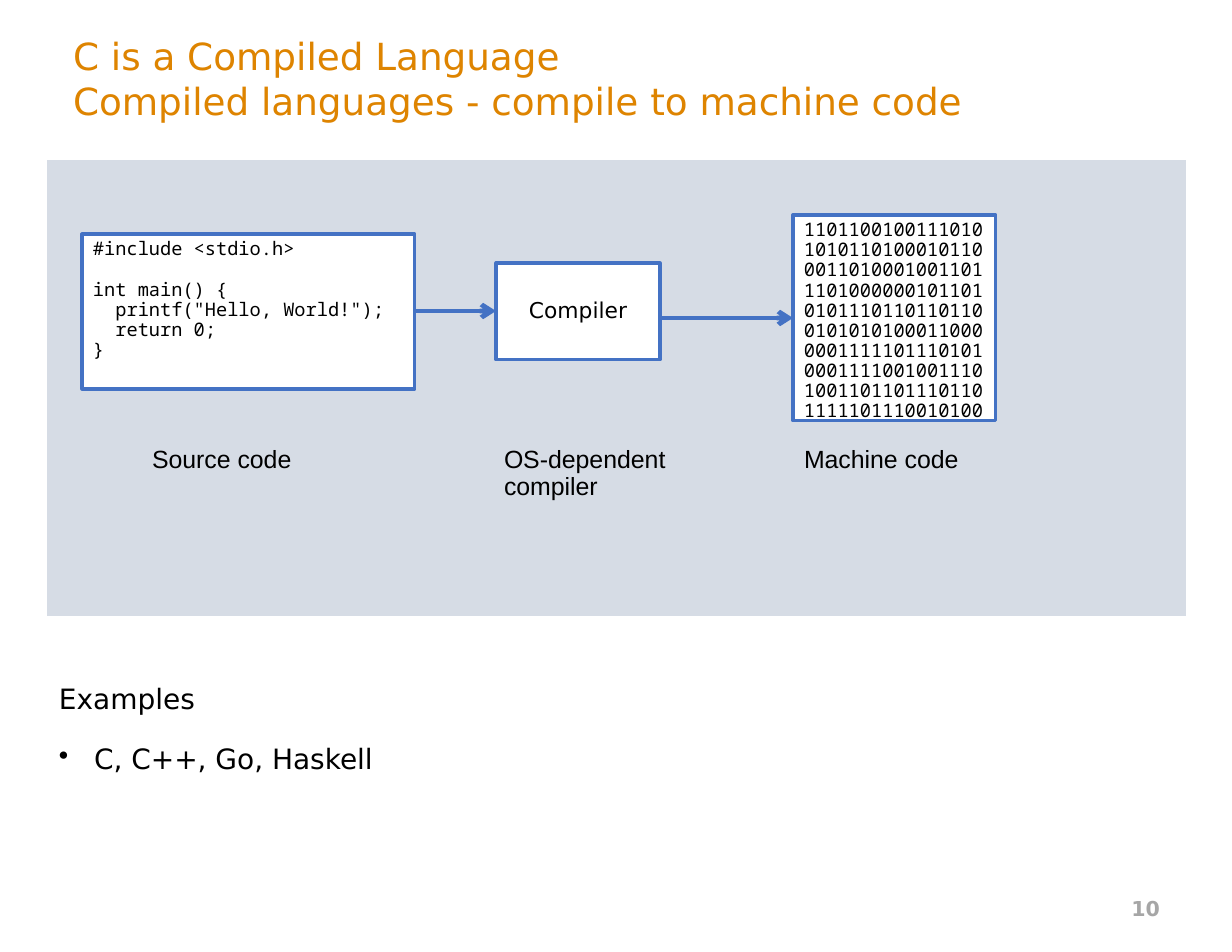
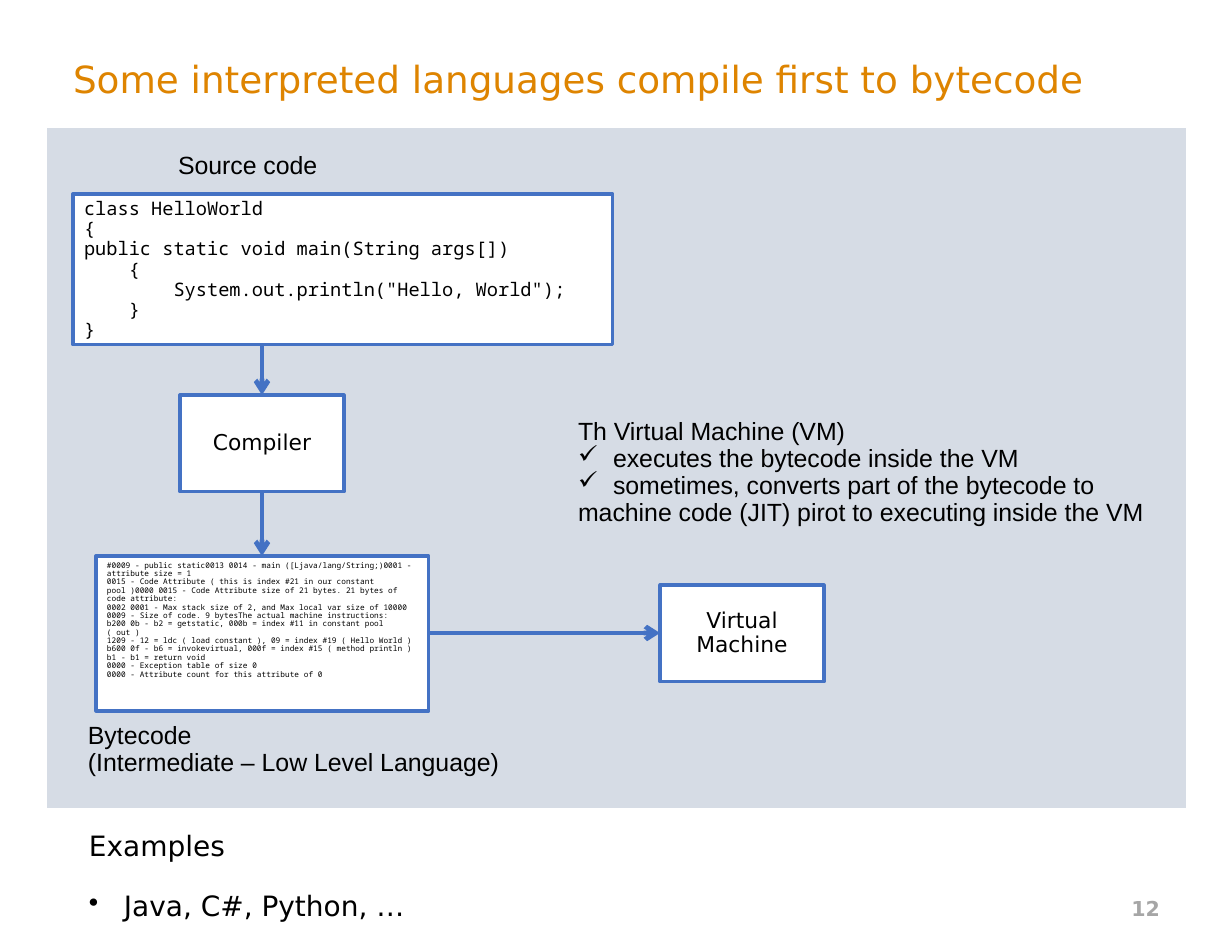
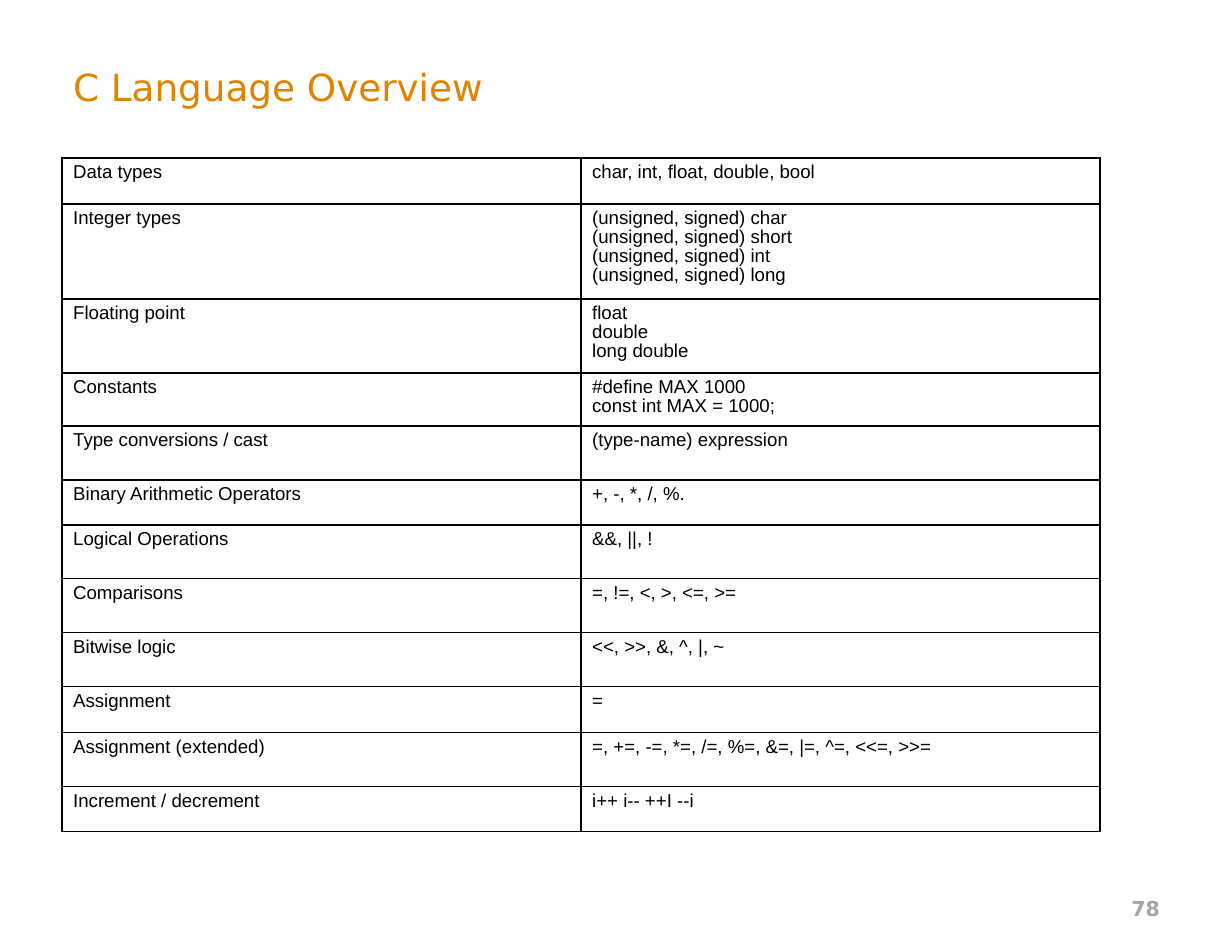
from typing import NamedTuple

from lxml import etree
from pptx import Presentation
from pptx.dml.color import RGBColor
from pptx.enum.shapes import MSO_CONNECTOR, MSO_SHAPE
from pptx.enum.text import MSO_ANCHOR, PP_ALIGN
from pptx.oxml.ns import qn
from pptx.util import Emu, Pt

RECTANGLE = MSO_SHAPE.RECTANGLE
STRAIGHT = MSO_CONNECTOR.STRAIGHT
TOP, MIDDLE = MSO_ANCHOR.TOP, MSO_ANCHOR.MIDDLE
LEFT, CENTER, RIGHT = PP_ALIGN.LEFT, PP_ALIGN.CENTER, PP_ALIGN.RIGHT

COLORS = {
    "title": "DE8400",
    "panel": "D6DCE5",
    "accent": "4472C4",
    "number": "A6A6A6",
    "ink": "000000",
    "paper": "FFFFFF",
}
SANS, BODY, MONO = "DejaVu Sans", "Arial", "Noto Sans Mono"
EMU_PER_PX = 914400 / 112
HANGING_INDENT = 35


class Box(NamedTuple):
    x: int
    y: int
    w: int
    h: int

    def inside(self, dx, dy, w, h):
        return Box(self.x + dx, self.y + dy, w, h)

    @property
    def right(self):
        return self.x + self.w

    @property
    def bottom(self):
        return self.y + self.h

    @property
    def mid_x(self):
        return self.x + self.w // 2

    @property
    def mid_y(self):
        return self.y + self.h // 2


class Style(NamedTuple):
    font: str
    size: float
    color: str = "ink"
    bold: bool = False
    align: int = LEFT
    anchor: int = TOP
    spacing: float = 0.9


class Para(NamedTuple):
    text: str
    bullet: str = ""
    gap: int = 0


TITLE = Style(SANS, 24, "title", anchor=MIDDLE, spacing=1.0)
NUMBER = Style(SANS, 13.2, "number", True, RIGHT, MIDDLE, 1.0)
EXAMPLES = Style(SANS, 18)
LABEL = Style(BODY, 16)
CODE = Style(MONO, 12)
BYTECODE = Style(MONO, 5)
STAGE = Style(SANS, 14, align=CENTER, anchor=MIDDLE)
CELL = Style(BODY, 12)

TITLE_BOX = Box(62, 30, 1109, 97)
NUMBER_BOX = Box(883, 883, 288, 50)

HELLO_C = [
    Para("#include <stdio.h>"),
    Para("int main() {", gap=13),
    Para('  printf("Hello, World!");'),
    Para("  return 0;"),
    Para("}"),
]
MACHINE_CODE = [Para(word) for word in (
    "1101100100111010", "1010110100010110", "0011010001001101",
    "1101000000101101", "0101110110110110", "0101010100011000",
    "0001111101110101", "0001111001001110", "1001101101110110",
    "1111101110010100",
)]
HELLO_JAVA = [Para(line) for line in (
    "class HelloWorld",
    "{",
    "public static void main(String args[])",
    "    {",
    '        System.out.println("Hello, World");',
    "    }",
    "}",
)]
BYTECODE_LISTING = [Para("\v".join((
    "#0009 - public static0013 0014 - main ([Ljava/lang/String;)0001 - attribute size = 1",
    "0015 - Code Attribute ( this is index #21 in our constant pool )0000 0015 - "
    "Code Attribute size of 21 bytes. 21 bytes of code attribute:",
    "0002 0001 - Max stack size of 2, and Max local var size of 10000 0009 - "
    "Size of code. 9 bytesThe actual machine instructions:",
    "b200 0b - b2 = getstatic, 000b = index #11 in constant pool ( out )",
    "1209 - 12 = ldc ( load constant ), 09 = index #19 ( Hello World )",
    "b600 0f - b6 = invokevirtual, 000f = index #15 ( method println )",
    "b1 - b1 = return void",
    "0000 - Exception table of size 0",
    "0000 - Attribute count for this attribute of 0",
)))]
VM_NOTE = [
    Para("Th Virtual Machine (VM)"),
    Para("executes the bytecode inside the VM", "✓"),
    Para("sometimes, converts part of the bytecode to", "✓"),
    Para("machine code (JIT) pirot to executing inside the VM"),
]
OVERVIEW = [
    (46, "Data types", ["char, int, float, double, bool"]),
    (95, "Integer types", [f"(unsigned, signed) {name}" for name in ("char", "short", "int", "long")]),
    (74, "Floating point", ["float", "double", "long double"]),
    (53, "Constants", ["#define MAX 1000", "const int MAX = 1000;"]),
    (54, "Type conversions / cast", ["(type-name) expression"]),
    (45, "Binary Arithmetic Operators", ["+, -, *, /, %."]),
    (54, "Logical Operations", ["&&, ||, !"]),
    (54, "Comparisons", ["=, !=, <, >, <=, >="]),
    (54, "Bitwise logic", ["<<, >>, &, ^, |, ~"]),
    (46, "Assignment", ["="]),
    (54, "Assignment (extended)", ["=, +=, -=, *=, /=, %=, &=, |=, ^=, <<=, >>="]),
    (45, "Increment / decrement", ["i++ i-- ++I --i"]),
]


def px(length):
    return Emu(round(length * EMU_PER_PX))


def place(box):
    return [px(length) for length in box]


def rgb(name):
    return RGBColor.from_string(COLORS[name])


def write(frame, paras, style):
    for index, para in enumerate(paras):
        paragraph = frame.paragraphs[0] if index == 0 else frame.add_paragraph()
        paragraph.text = para.text
        if para.bullet:
            props = paragraph._p.get_or_add_pPr()
            props.set("marL", str(px(HANGING_INDENT)))
            props.set("indent", str(-px(HANGING_INDENT)))
            etree.SubElement(props, qn("a:buChar"), char=para.bullet)
        if para.gap:
            paragraph.space_before = Pt(para.gap)
        paragraph.alignment = style.align
        paragraph.line_spacing = style.spacing
        paragraph.font.name = style.font
        paragraph.font.size = Pt(style.size)
        paragraph.font.bold = style.bold
        paragraph.font.color.rgb = rgb(style.color)


def add_text(slide, box, paras, style, wrap=True):
    frame = slide.shapes.add_textbox(*place(box)).text_frame
    frame.word_wrap = wrap
    frame.vertical_anchor = style.anchor
    write(frame, paras, style)


def add_label(slide, box, *lines):
    add_text(slide, box, [Para(line) for line in lines], LABEL, wrap=False)


def add_rectangle(slide, box, fill):
    rectangle = slide.shapes.add_shape(RECTANGLE, *place(box))
    rectangle.shadow.inherit = False
    rectangle.fill.solid()
    rectangle.fill.fore_color.rgb = rgb(fill)
    rectangle.line.fill.background()
    return rectangle


def add_stage(slide, box, paras, style):
    stage = add_rectangle(slide, box, "paper")
    stage.line.color.rgb = rgb("accent")
    stage.line.width = Pt(2)
    stage.text_frame.word_wrap = True
    stage.text_frame.vertical_anchor = style.anchor
    write(stage.text_frame, paras, style)


def add_arrow(slide, start, end):
    arrow = slide.shapes.add_connector(STRAIGHT, *place(start + end))
    arrow.line.color.rgb = rgb("accent")
    arrow.line.width = Pt(3)
    etree.SubElement(arrow.line._get_or_add_ln(), qn("a:tailEnd"), type="arrow")
    etree.SubElement(arrow._element.spPr, qn("a:effectLst"))


def arrow_right(slide, source, target, y):
    add_arrow(slide, (source.right, y), (target.x, y))


def arrow_down(slide, source, target, x):
    add_arrow(slide, (x, source.bottom), (x, target.y))


def add_examples(slide, box, languages):
    add_text(slide, box, [Para("Examples"), Para(languages, "•", 19)], EXAMPLES)


def compiled_diagram(slide, panel):
    add_rectangle(slide, panel, "panel")
    source = panel.inside(35, 74, 333, 155)
    compiler = panel.inside(449, 103, 164, 97)
    machine = panel.inside(746, 55, 203, 206)
    add_stage(slide, source, HELLO_C, CODE)
    add_stage(slide, machine, MACHINE_CODE, CODE)
    add_stage(slide, compiler, [Para("Compiler")], STAGE)
    arrow_right(slide, source, compiler, source.mid_y)
    arrow_right(slide, compiler, machine, machine.mid_y)
    add_label(slide, panel.inside(94, 282, 164, 38), "Source code")
    add_label(slide, panel.inside(446, 282, 186, 66), "OS-dependent", "compiler")
    add_label(slide, panel.inside(746, 282, 179, 38), "Machine code")


def bytecode_diagram(slide, panel):
    add_rectangle(slide, panel, "panel")
    source = panel.inside(26, 66, 540, 151)
    compiler = panel.inside(133, 267, 164, 97)
    bytecode = panel.inside(49, 428, 333, 155)
    machine = panel.inside(613, 457, 164, 97)
    add_stage(slide, source, HELLO_JAVA, CODE)
    add_stage(slide, compiler, [Para("Compiler")], STAGE)
    add_stage(slide, bytecode, BYTECODE_LISTING, BYTECODE)
    add_stage(slide, machine, [Para("Virtual Machine")], STAGE)
    arrow_down(slide, source, compiler, compiler.mid_x)
    arrow_down(slide, compiler, bytecode, compiler.mid_x)
    arrow_right(slide, bytecode, machine, machine.mid_y)
    add_label(slide, panel.inside(120, 20, 164, 38), "Source code")
    add_label(slide, panel.inside(30, 590, 439, 66),
              "Bytecode", "(Intermediate – Low Level Language)")
    add_text(slide, panel.inside(520, 286, 600, 147), VM_NOTE, LABEL)


def fill_cell(cell, lines):
    props = cell._tc.get_or_add_tcPr()
    for side in ("lnL", "lnR", "lnT", "lnB"):
        border = etree.SubElement(props, qn(f"a:{side}"), w=str(Pt(1)))
        fill = etree.SubElement(border, qn("a:solidFill"))
        etree.SubElement(fill, qn("a:srgbClr"), val=COLORS["ink"])
    cell.fill.solid()
    cell.fill.fore_color.rgb = rgb("paper")
    write(cell.text_frame, [Para(line) for line in lines], CELL)


def overview_table(slide, box):
    table = slide.shapes.add_table(len(OVERVIEW), 2, *place(box)).table
    table.first_row = False
    table.horz_banding = False
    for column in table.columns:
        column.width = px(box.w // 2)
    for row, (height, topic, syntax) in zip(table.rows, OVERVIEW):
        row.height = px(height)
        fill_cell(row.cells[0], [topic])
        fill_cell(row.cells[1], syntax)


def new_slide(deck, title, number, title_box=TITLE_BOX):
    slide = deck.slides.add_slide(deck.slide_layouts[6])
    add_text(slide, title_box, [Para(title)], TITLE)
    add_text(slide, NUMBER_BOX, [Para(number)], NUMBER)
    return slide


def main():
    deck = Presentation()
    deck.slide_width, deck.slide_height = px(1232), px(952)

    compiled = new_slide(
        deck, "C is a Compiled Language\vCompiled languages - compile to machine code", "10")
    compiled_diagram(compiled, Box(47, 160, 1139, 456))
    add_examples(compiled, Box(48, 680, 551, 103), "C, C++, Go, Haskell")

    interpreted = new_slide(
        deck, "Some interpreted languages compile first to bytecode", "12")
    bytecode_diagram(interpreted, Box(47, 128, 1139, 680))
    add_examples(interpreted, Box(78, 827, 551, 103), "Java, C#, Python, …")

    overview = new_slide(deck, "C Language Overview", "78", TITLE_BOX._replace(y=38))
    overview_table(overview, Box(62, 158, 1038, sum(height for height, _, _ in OVERVIEW)))

    deck.save("out.pptx")


if __name__ == "__main__":
    main()
